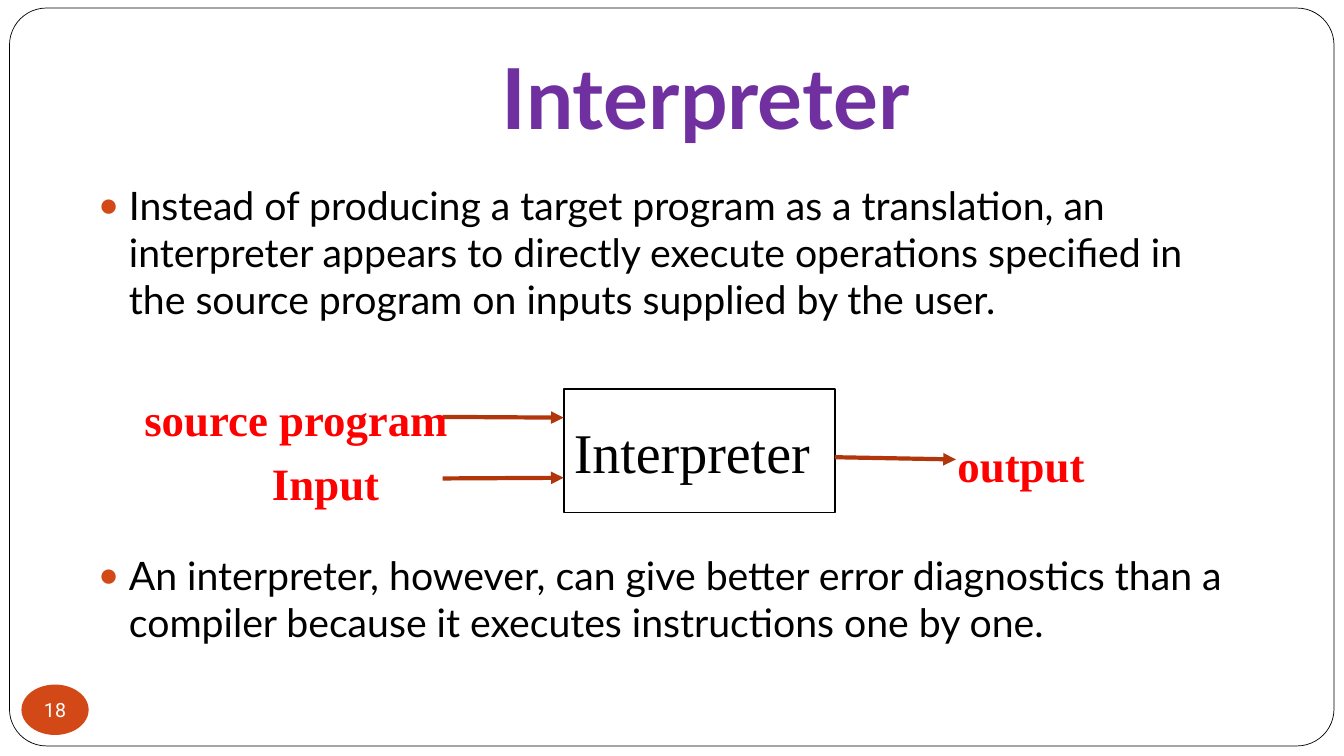
"""Builds the slide that explains what an interpreter does."""
from lxml.etree import SubElement
from pptx import Presentation
from pptx.dml.color import RGBColor
from pptx.enum.shapes import MSO_CONNECTOR as Link, MSO_SHAPE as Preset
from pptx.enum.text import MSO_ANCHOR as Anchor, MSO_AUTO_SIZE as Fit, PP_ALIGN as Align
from pptx.oxml.ns import qn
from pptx.util import Inches, Pt

COLORS = {
    "white": "FFFFFF", "black": "000000", "purple": "7030A0",
    "orange": "D34817", "rust": "B1360B", "red": "FF0000",
}

deck = Presentation()
deck.slide_width, deck.slide_height = Inches(13.33), Inches(7.5)
column, row = deck.slide_width / 160, deck.slide_height / 90
page = deck.slides.add_slide(deck.slide_layouts[1])


def cells(left, top, width, height):
    return [int(left * column), int(top * row), int(width * column), int(height * row)]


def write(para, text, size, font, color, bold=False, align=Align.LEFT):
    para.alignment = align
    span = para.add_run()
    span.text = text
    for name, value in {"size": Pt(size), "name": font, "bold": bold}.items():
        setattr(span.font, name, value)
    span.font.color.rgb = RGBColor.from_string(COLORS[color])


shapes = {}
for name, preset, area, fill, line in [
    ("frame", Preset.ROUNDED_RECTANGLE, (1.13, 0.96, 157.68, 87.84), None, 0.5),
    ("badge", Preset.OVAL, (2.55, 81.5, 8, 6), "orange", None),
    ("interpreter", Preset.RECTANGLE, (67.12, 46.3, 32.28, 14.73), "white", 1),
]:
    box = shapes[name] = page.shapes.add_shape(preset, *cells(*area))
    box.shadow.inherit = False
    if fill:
        box.fill.solid()
        box.fill.fore_color.rgb = RGBColor.from_string(COLORS[fill])
    else:
        box.fill.background()
    if line:
        box.line.color.rgb = RGBColor.from_string(COLORS["black"])
        box.line.width = Pt(line)
    else:
        box.line.fill.background()
    box.text_frame.vertical_anchor = Anchor.MIDDLE

frame = shapes["frame"]
frame.adjustments[0] = 0.05
frame.element.getparent().insert(2, frame.element)

badge_text = shapes["badge"].text_frame
for side in ("left", "top", "right", "bottom"):
    setattr(badge_text, f"margin_{side}", 0)
badge_text.word_wrap = False
write(badge_text.paragraphs[0], "18", 14, "Roboto", "white", align=Align.CENTER)
write(shapes["interpreter"].text_frame.paragraphs[0], "Interpreter", 40,
      "Times New Roman", "black")

title, body = page.shapes.title, page.placeholders[1]
for holder, area, anchor in [
    (title, (16, 3.6, 136, 15), Anchor.BOTTOM),
    (body, (10.55, 21, 138.5, 56.4), Anchor.TOP),
]:
    holder.left, holder.top, holder.width, holder.height = cells(*area)
    holder.text_frame.vertical_anchor = anchor
    holder.text_frame.auto_size = Fit.NONE

title.text_frame.margin_bottom = Inches(0.1)
write(title.text_frame.paragraphs[0], "Interpreter", 60, "Lato", "purple", True, Align.CENTER)

points = [
    ("Instead of producing a target program as a translation, an interpreter appears to "
     "directly execute operations specified in the source program on inputs supplied by "
     "the user.", 5.8),
    ("An interpreter, however, can give better error diagnostics than a compiler because "
     "it executes instructions one by one.", 163.3),
]
body.text_frame.add_paragraph()
for para, (text, gap) in zip(body.text_frame.paragraphs, points):
    write(para, text, 28, "Lato", "black")
    para.space_before = Pt(gap)
    props = para._p.get_or_add_pPr()
    props.set("marL", str(Inches(0.3)))
    props.set("indent", str(-Inches(0.3)))
    SubElement(SubElement(props, qn("a:buClr")), qn("a:srgbClr"), val=COLORS["orange"])
    SubElement(props, qn("a:buSzPct"), val="85000")
    SubElement(props, qn("a:buChar"), char="●")

for left, start, end in [(52.7, 56.96, 56.88), (99.4, 54.43, 54.7), (52.7, 49.63, 49.72)]:
    arrow = page.shapes.add_connector(
        Link.STRAIGHT, *cells(left, start, left + 14.4, end))
    arrow.line.color.rgb = RGBColor.from_string(COLORS["rust"])
    arrow.line.width = Pt(3)
    SubElement(arrow.line._get_or_add_ln(), qn("a:tailEnd"), type="triangle")
    SubElement(arrow.element.spPr, qn("a:effectLst"))

for text, area in [
    ("Input", (31.2, 53.68, 23.5, 7)),
    ("output", (112.8, 51.5, 23.5, 7)),
    ("source program", (16, 46, 41.3, 7)),
]:
    label = page.shapes.add_textbox(*cells(*area)).text_frame
    label.word_wrap = True
    write(label.paragraphs[0], text, 32, "Times New Roman", "red", True)

deck.save("out.pptx")
